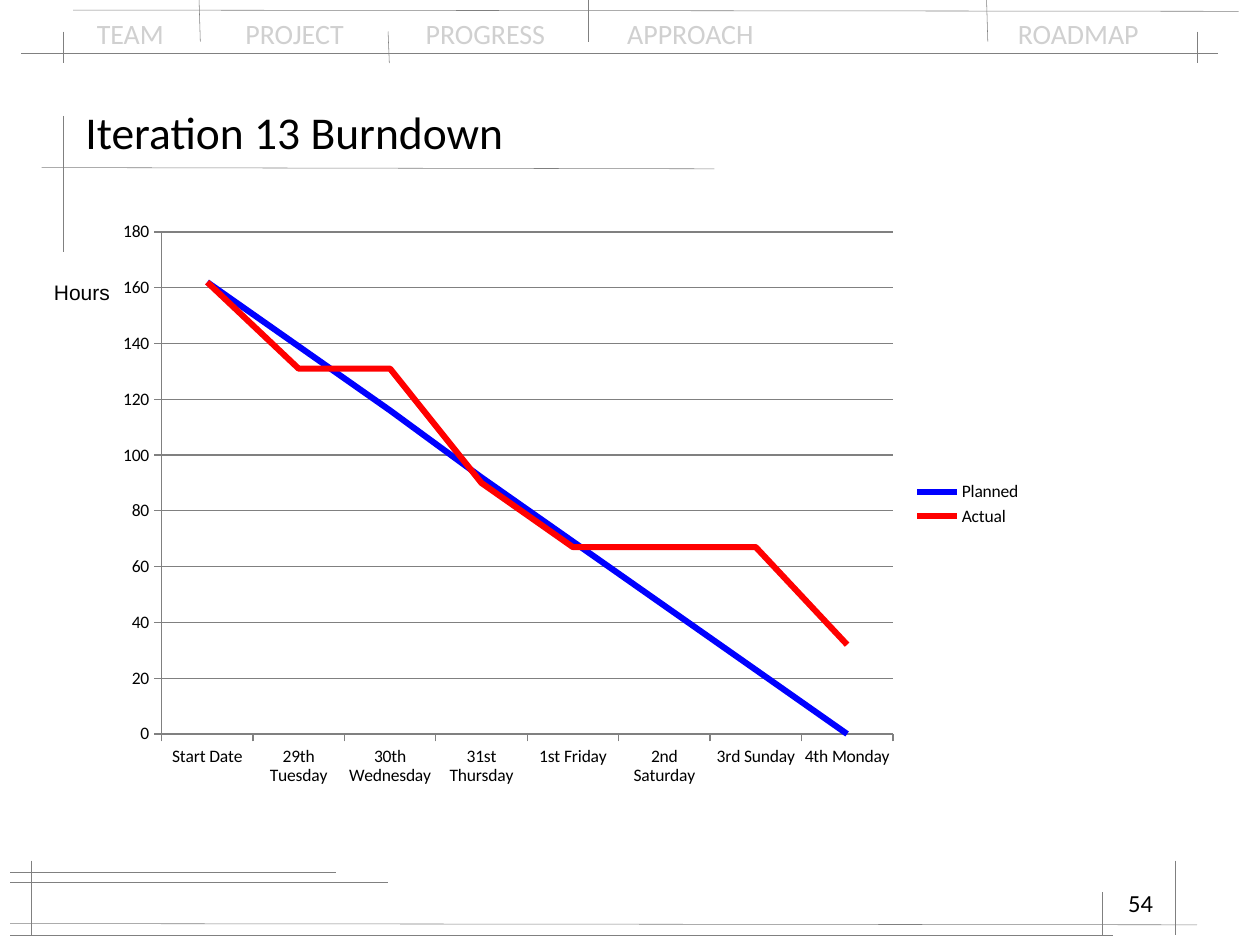
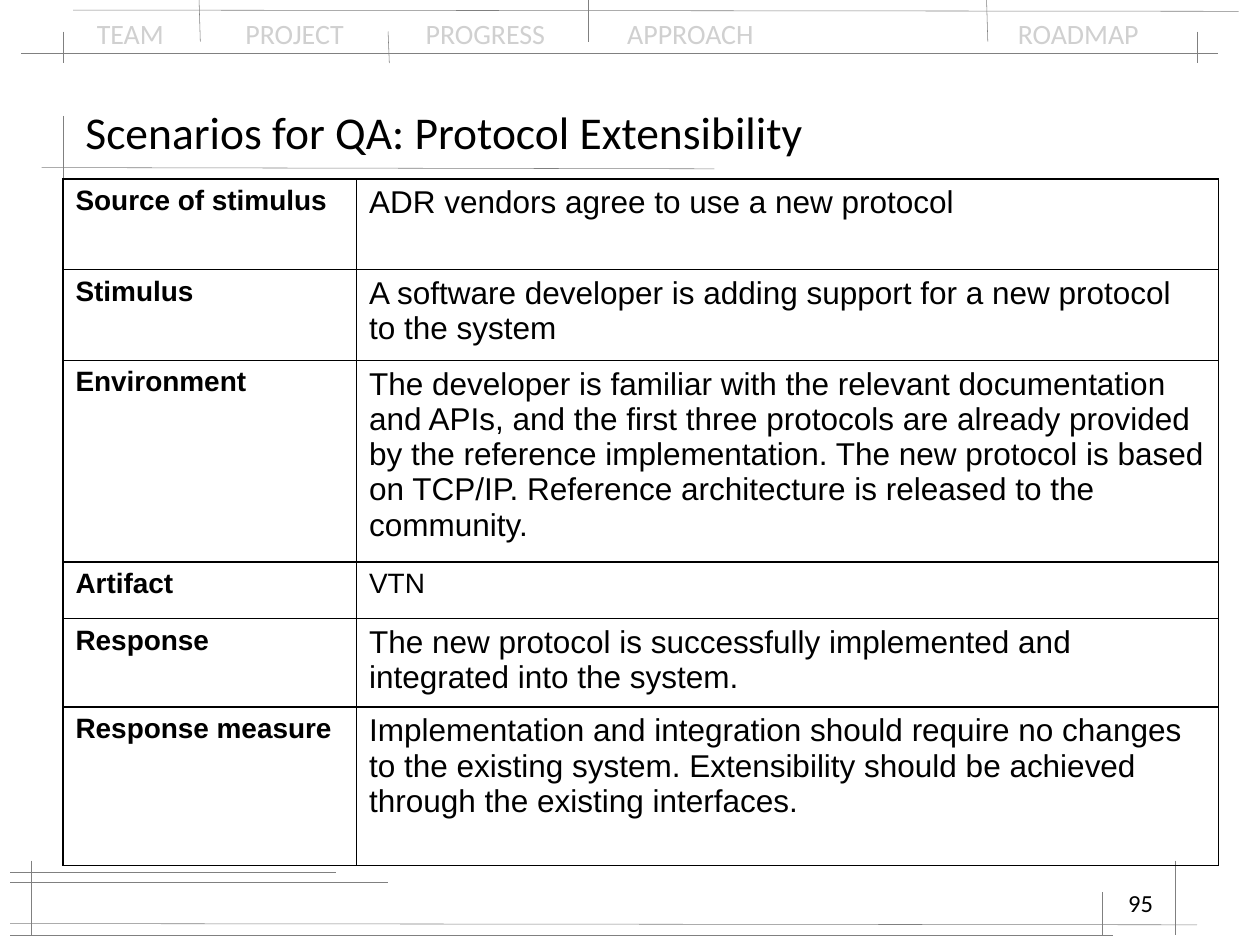
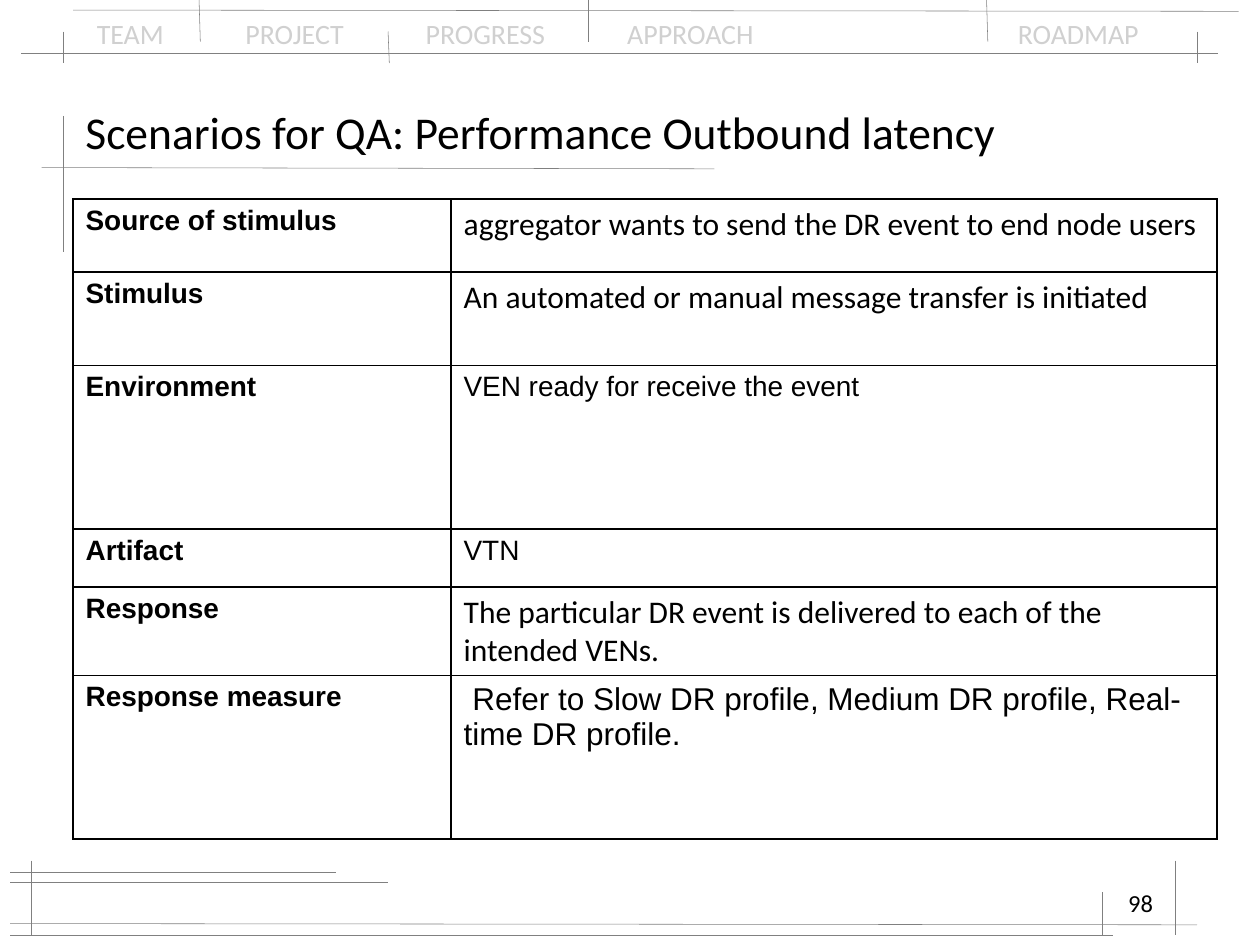
"""Builds three project review slides: a burndown chart and two scenario tables."""
import pptx
import pptx.chart.data
import pptx.dml.color
import pptx.enum.chart
import pptx.enum.shapes
import pptx.enum.text
import pptx.oxml
import pptx.oxml.ns
import pptx.util
from lxml import etree

Inches = pptx.util.Inches
Pt = pptx.util.Pt
qn = pptx.oxml.ns.qn
Anchor = pptx.enum.text.MSO_ANCHOR
Align = pptx.enum.text.PP_ALIGN
Kind = pptx.enum.chart

BLACK, GREY, PALE = "000000", "808080", "D0D0D0"
NAV = ["TEAM", "PROJECT", "PROGRESS", "APPROACH", "ROADMAP"]
TABS = [1.18, 2.61, 4.21, 7.31]
RULES = [
    (0.17, 0.42, 9.67, 0.42), (0.58, 0.08, 9.83, 0.09),
    (0.5, 0.92, 0.5, 2), (0.33, 1.33, 5.67, 1.34),
    (0.08, 7, 3.08, 7), (0.08, 7.33, 9.5, 7.34),
    (0.25, 6.83, 0.25, 7.42), (0.08, 6.92, 2.67, 6.92),
    (0.08, 7.42, 8.83, 7.42), (9.33, 6.83, 9.33, 7.42),
    (8.75, 7.08, 8.75, 7.42), (0.5, 0.25, 0.5, 0.5),
    (3.08, 0.25, 3.09, 0.5), (9.5, 0.25, 9.5, 0.5),
    (1.58, 0, 1.59, 0.33), (4.67, 0, 4.67, 0.33), (7.83, 0, 7.84, 0.33),
]
PAGES = [
    ("Iteration 13 Burndown", "54"),
    ("Scenarios for QA: Protocol Extensibility", "95"),
    ("Scenarios for QA: Performance Outbound latency", "98"),
]
DAYS = ["Start Date", "29th Tuesday", "30th Wednesday", "31st Thursday",
        "1st Friday", "2nd Saturday", "3rd Sunday", "4th Monday"]
HOURS = [
    ("Planned", "0000FF", [162, 139, 116, 92, 69, 46, 23, 0]),
    ("Actual", "FF0000", [162, 131, 131, 90, 67, 67, 67, 32]),
]
LABELS = ["Source of stimulus", "Stimulus", "Environment",
          "Artifact", "Response", "Response measure"]
GRIDS = [
    (1, 0.5, 1.42, [2.33, 6.84], [0.72, 0.72, 1.6, 0.45, 0.7, 1.26], [
        ("ADR vendors agree to use a new protocol", 18, "Arial"),
        ("A software developer is adding support for a new protocol to the system", 18, "Arial"),
        ("The developer is familiar with the relevant documentation and APIs, and the first "
         "three protocols are already provided by the reference implementation. The new "
         "protocol is based on TCP/IP. Reference architecture is released to the community.",
         18, "Arial"),
        ("VTN", 16, "Arial"),
        ("The new protocol is successfully implemented and integrated into the system.",
         18, "Arial"),
        ("Implementation and integration should require no changes to the existing system. "
         "Extensibility should be achieved through the existing interfaces.", 18, "Arial"),
    ]),
    (2, 0.58, 1.58, [3, 6.08], [0.58, 0.74, 1.3, 0.46, 0.7, 1.3], [
        ("aggregator wants to send the DR event to end node users", 18, "Calibri"),
        ("An automated or manual message transfer is initiated", 18, "Calibri"),
        ("VEN ready for receive the event", 16, "Arial"),
        ("VTN", 16, "Arial"),
        ("The particular DR event is delivered to each of the intended VENs.", 18, "Calibri"),
        (" Refer to Slow DR profile, Medium DR profile, Real-time DR profile.", 18, "Arial"),
    ]),
]


def tint(code):
    return pptx.dml.color.RGBColor.from_string(code)


def write(frame, text, size, font="Calibri", code=BLACK, bold=False):
    part = frame.paragraphs[0]
    part.text = text
    for run in part.runs:
        run.font.size = Pt(size)
        run.font.name = font
        run.font.bold = bold
        run.font.color.rgb = tint(code)
    return part


deck = pptx.Presentation()
deck.slide_width, deck.slide_height = Inches(10), Inches(7.5)

for title, page in PAGES:
    slide = deck.slides.add_slide(deck.slide_layouts[6])
    nav = slide.shapes.add_textbox(Inches(0.67), Inches(0.08), Inches(8.67), Inches(0.37))
    nav.text_frame.word_wrap = True
    part = write(nav.text_frame, "\t".join(NAV), 16, code=PALE)
    stops = etree.Element(qn("a:tabLst"))
    for tab in TABS:
        etree.SubElement(stops, qn("a:tab"), pos=str(Inches(tab)), algn="l")
    part._p.get_or_add_pPr().append(stops)

    for x1, y1, x2, y2 in RULES:
        rule = slide.shapes.add_connector(
            pptx.enum.shapes.MSO_CONNECTOR.STRAIGHT,
            Inches(x1), Inches(y1), Inches(x2), Inches(y2))
        rule.line.color.rgb = tint(GREY)
        rule.line.width = Pt(0.3)
        etree.SubElement(rule._element.spPr, qn("a:effectLst"))

    head = slide.shapes.add_textbox(Inches(0.58), Inches(0.75), Inches(8.83), Inches(0.58))
    head.text_frame.word_wrap = True
    head.text_frame.vertical_anchor = Anchor.MIDDLE
    write(head.text_frame, title, 26)

    foot = slide.shapes.add_textbox(Inches(7.17), Inches(7), Inches(2.08), Inches(0.5))
    foot.text_frame.word_wrap = True
    write(foot.text_frame, page, 14).alignment = Align.RIGHT

data = pptx.chart.data.CategoryChartData()
data.categories = DAYS
for name, code, vals in HOURS:
    data.add_series(name, vals)
burn = deck.slides[0].shapes
chart = burn.add_chart(Kind.XL_CHART_TYPE.LINE, Inches(0.83), Inches(1.67),
                       Inches(7.38), Inches(4.66), data).chart
chart.has_title = False
chart.font.name = "Calibri"
chart.font.size = Pt(10)
chart.font.color.rgb = tint(BLACK)
chart.has_legend = True
chart.legend.position = Kind.XL_LEGEND_POSITION.RIGHT
chart.legend.include_in_layout = False
chart.plots[0].vary_by_categories = False
for line, (name, code, vals) in zip(chart.plots[0].series, HOURS):
    line.smooth = False
    line.format.line.color.rgb = tint(code)
    line.format.line.width = Pt(3.5)
for axis in (chart.category_axis, chart.value_axis):
    axis.major_tick_mark = Kind.XL_TICK_MARK.OUTSIDE
    axis.format.line.color.rgb = tint(GREY)
scale = chart.value_axis
scale.minimum_scale, scale.maximum_scale, scale.major_unit = 0, 180, 20
scale.tick_labels.number_format = "0"
scale.tick_labels.number_format_is_linked = False
scale.has_major_gridlines = True
scale.major_gridlines.format.line.color.rgb = tint(GREY)

unit = burn.add_textbox(Inches(0.33), Inches(2.17), Inches(0.65), Inches(0.3))
unit.text_frame.word_wrap = False
write(unit.text_frame, "Hours", 12, "Arial")

for index, left, top, cols, rows, facts in GRIDS:
    grid = deck.slides[index].shapes.add_table(
        len(rows), len(cols), Inches(left), Inches(top),
        Inches(sum(cols)), Inches(sum(rows))).table
    grid.first_row = grid.horz_banding = False
    for col, width in zip(grid.columns, cols):
        col.width = Inches(width)
    for row, height, label, fact in zip(grid.rows, rows, LABELS, facts):
        row.height = Inches(height)
        write(row.cells[0].text_frame, label, 16, "Arial", bold=True)
        write(row.cells[1].text_frame, *fact)
        for cell in row.cells:
            props = cell._tc.get_or_add_tcPr()
            for side in ("a:lnL", "a:lnR", "a:lnT", "a:lnB"):
                edge = etree.SubElement(props, qn(side), w=str(Pt(1)))
                fill = etree.SubElement(edge, qn("a:solidFill"))
                etree.SubElement(fill, qn("a:srgbClr"), val=BLACK)
            cell.fill.background()

deck.save("out.pptx")
